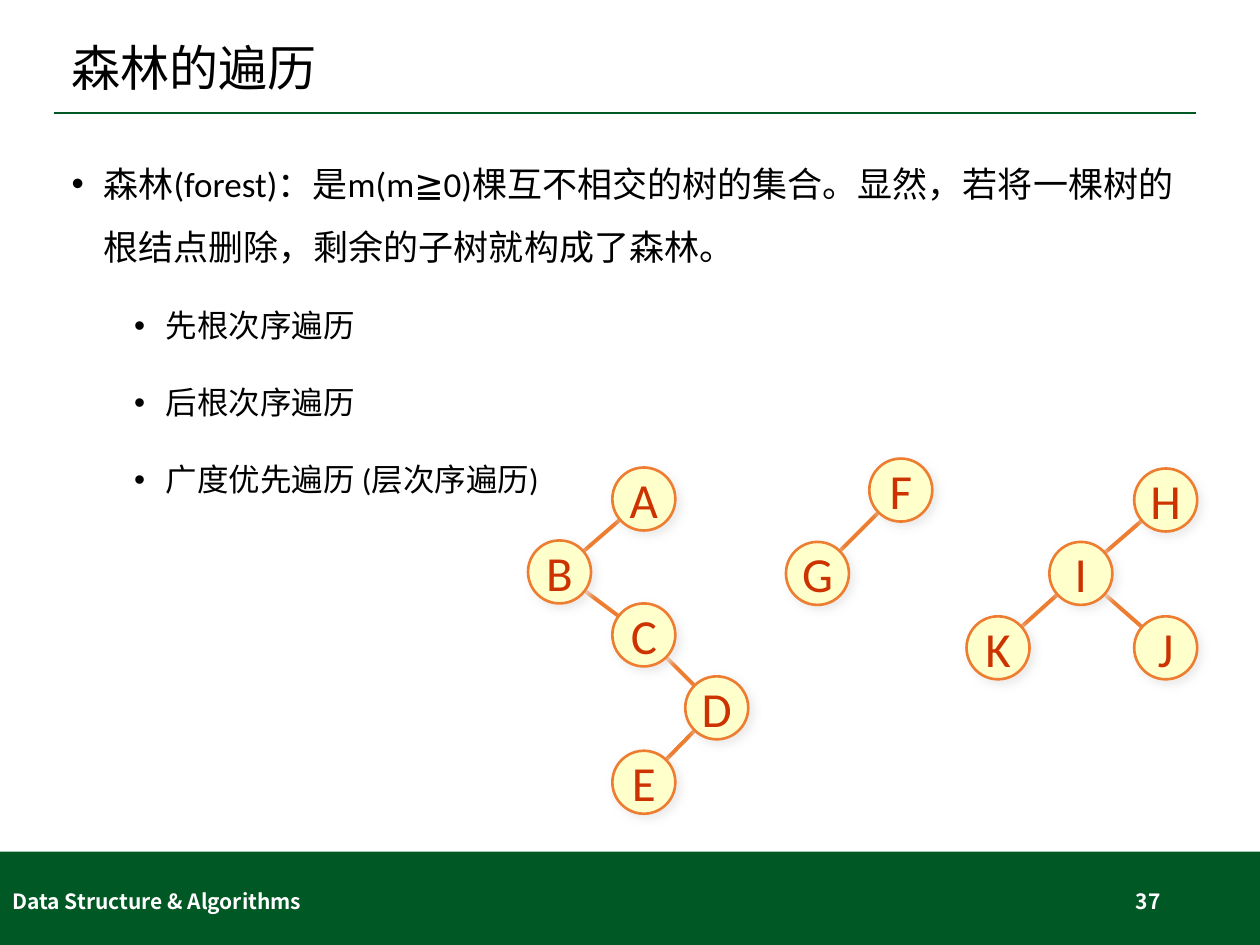
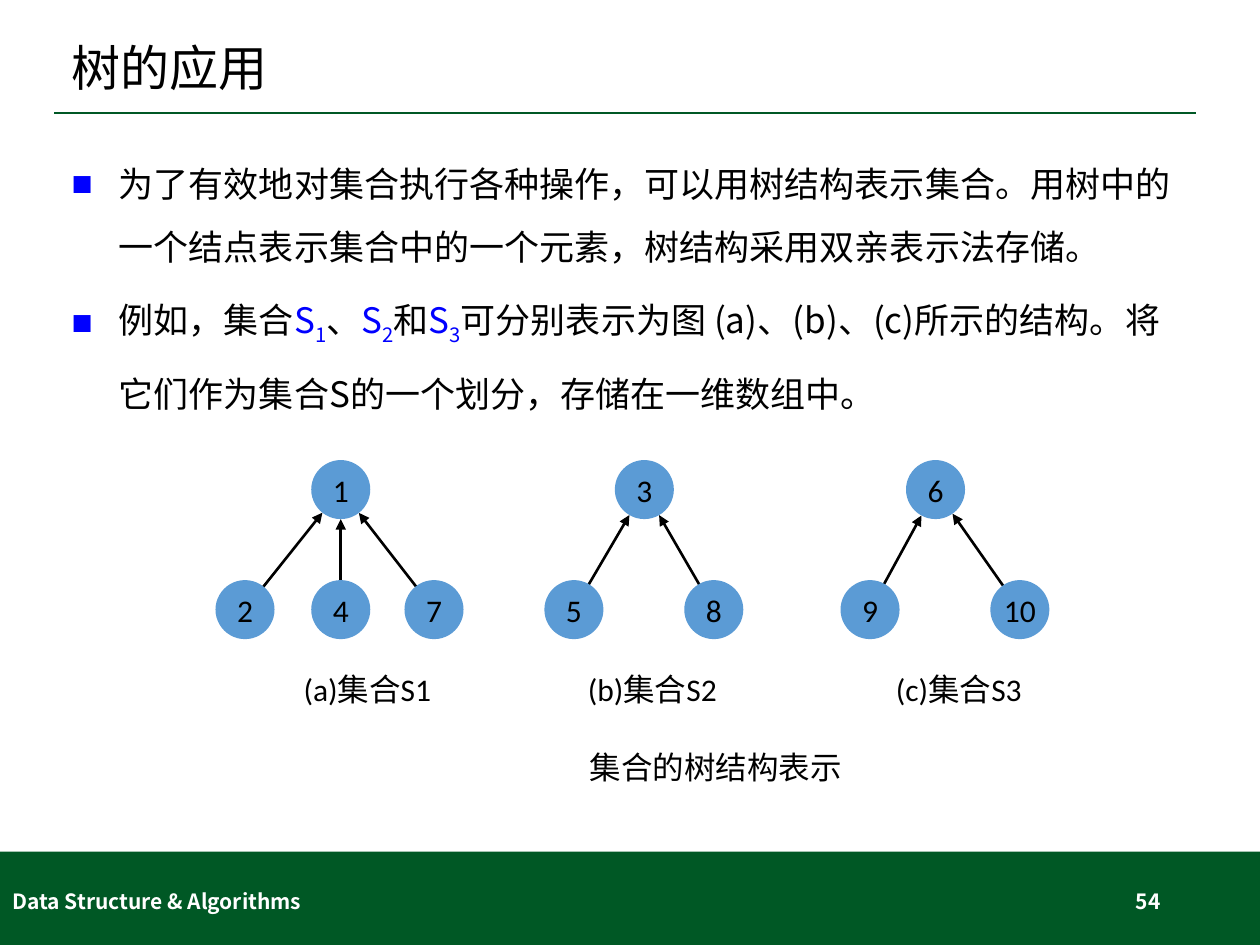
from math import hypot

from lxml.etree import SubElement
from pptx import Presentation
from pptx.dml.color import RGBColor
from pptx.enum.shapes import MSO_CONNECTOR, MSO_SHAPE
from pptx.enum.text import MSO_ANCHOR, MSO_AUTO_SIZE, PP_ALIGN
from pptx.oxml.ns import qn
from pptx.oxml.xmlchemy import OxmlElement
from pptx.util import Cm, Pt

# Shared look
GREEN = RGBColor(0x00, 0x58, 0x25)
WHITE = RGBColor(0xFF, 0xFF, 0xFF)
BLACK = RGBColor(0x00, 0x00, 0x00)
BLUE = RGBColor(0x00, 0x00, 0xFF)
ORANGE = RGBColor(0xED, 0x7D, 0x31)
CREAM = RGBColor(0xFF, 0xFF, 0xCC)
RED = RGBColor(0xCC, 0x33, 0x00)
SKY = RGBColor(0x5B, 0x9B, 0xD5)
SHADOW = RGBColor(0xE7, 0xE6, 0xE6)
LATIN_FONT = "Calibri"
CHINESE_FONT = "Noto Sans CJK SC"
FOOTER = "Data Structure & Algorithms"

# Forest: node centres in cm, and parent-child pairs
FOREST_NODES = {
    "A": (12.98, 10.06), "B": (11.28, 11.53), "C": (12.98, 12.8),
    "D": (14.45, 14.27), "E": (12.98, 15.77),
    "F": (18.16, 9.88), "G": (16.48, 11.56),
    "H": (23.5, 10.08), "I": (21.79, 11.56),
    "J": (23.5, 13.06), "K": (20.12, 13.06),
}
FOREST_EDGES = ["AB", "BC", "CD", "DE", "FG", "HI", "IJ", "IK"]
FOREST_DIAMETER = 1.27

# Sets: (root, x of root, {child: x of child}) in cm
SET_TREES = [
    ("1", 6.87, {"2": 4.94, "4": 6.87, "7": 8.75}),
    ("3", 12.99, {"5": 11.57, "8": 14.39}),
    ("6", 18.86, {"9": 17.54, "10": 20.56}),
]
ROOT_Y, CHILD_Y = 9.87, 12.29
SET_DIAMETER = 1.19


def style_paragraph(paragraph, size, color, name=LATIN_FONT, bold=False,
                    align=PP_ALIGN.LEFT):
    font = paragraph.font
    font.size, font.name, font.bold = Pt(size), name, bold
    font.color.rgb = color
    paragraph.alignment = align
    east_asian = SubElement(font._element, qn("a:ea"))
    east_asian.set("typeface", CHINESE_FONT)


def insert_before_font(paragraph, element):
    paragraph.font._element.addprevious(element)


def add_bullet(paragraph, character, indent, hanging, color=None):
    properties = paragraph._p.get_or_add_pPr()
    properties.set("marL", str(Cm(indent)))
    properties.set("indent", str(-Cm(hanging)))
    if color is not None:
        bullet_color = OxmlElement("a:buClr")
        SubElement(bullet_color, qn("a:srgbClr")).set("val", str(color))
        insert_before_font(paragraph, bullet_color)
    for tag, key, value in (("a:buFont", "typeface", "Arial"),
                            ("a:buChar", "char", character)):
        element = OxmlElement(tag)
        element.set(key, value)
        insert_before_font(paragraph, element)


def add_tab_stops(paragraph, positions):
    tabs = OxmlElement("a:tabLst")
    for position in positions:
        tab = SubElement(tabs, qn("a:tab"))
        tab.set("pos", str(Cm(position)))
        tab.set("algn", "l")
    insert_before_font(paragraph, tabs)


def place(shape, left, top, width, height):
    shape.left, shape.top = Cm(left), Cm(top)
    shape.width, shape.height = Cm(width), Cm(height)


def add_text_box(slide, left, top, width, height, anchor=MSO_ANCHOR.TOP):
    box = slide.shapes.add_textbox(Cm(left), Cm(top), Cm(width), Cm(height))
    box.text_frame.word_wrap = True
    box.text_frame.vertical_anchor = anchor
    return box.text_frame


def add_footer_text(slide, text, left, width, align):
    frame = add_text_box(slide, left, 17.65, width, 1.02, MSO_ANCHOR.MIDDLE)
    frame.text = text
    style_paragraph(frame.paragraphs[0], 12, WHITE, CHINESE_FONT, True, align)


def add_line(slide, start, end, color, width, arrow=False):
    connector = slide.shapes.add_connector(
        MSO_CONNECTOR.STRAIGHT, *(Cm(value) for value in (*start, *end)))
    connector.line.color.rgb = color
    connector.line.width = Pt(width)
    properties = connector._element.spPr
    if arrow:
        SubElement(properties.find(qn("a:ln")), qn("a:tailEnd")).set("type", "triangle")
    SubElement(properties, qn("a:effectLst"))


def add_edge(slide, child, parent, radius, color, width, arrow=False):
    """Line from the child's centre to the rim of the parent."""
    across, down = child[0] - parent[0], child[1] - parent[1]
    share = radius / hypot(across, down)
    rim = (parent[0] + share * across, parent[1] + share * down)
    add_line(slide, child, rim, color, width, arrow)


def add_node(slide, label, center, diameter, fill, size, color):
    node = slide.shapes.add_shape(
        MSO_SHAPE.OVAL, Cm(center[0] - diameter / 2), Cm(center[1] - diameter / 2),
        Cm(diameter), Cm(diameter))
    node.shadow.inherit = False
    node.fill.solid()
    node.fill.fore_color.rgb = fill
    node.line.fill.background()
    frame = node.text_frame
    frame.word_wrap = False
    frame.vertical_anchor = MSO_ANCHOR.MIDDLE
    frame.margin_left = frame.margin_right = frame.margin_top = frame.margin_bottom = 0
    frame.text = label
    style_paragraph(frame.paragraphs[0], size, color, align=PP_ALIGN.CENTER)
    return node


def add_soft_shadow(shape):
    effects = shape._element.spPr.find(qn("a:effectLst"))
    shadow = SubElement(effects, qn("a:outerShdw"))
    shadow.set("blurRad", str(Pt(5)))
    shadow.set("dist", str(Pt(3)))
    shadow.set("dir", str(45 * 60000))
    color = SubElement(shadow, qn("a:srgbClr"))
    color.set("val", str(SHADOW))
    SubElement(color, qn("a:alpha")).set("val", "75000")


def add_content_slide(presentation, title_text, number):
    """Slide with title, rule, footer band and an empty body; returns both."""
    slide = presentation.slides.add_slide(presentation.slide_layouts[1])
    band = slide.shapes.add_shape(
        MSO_SHAPE.RECTANGLE, 0, Cm(17.17), presentation.slide_width, Cm(1.88))
    band.shadow.inherit = False
    band.fill.solid()
    band.fill.fore_color.rgb = GREEN
    band.line.fill.background()
    add_line(slide, (1.09, 2.28), (24.1, 2.28), GREEN, 1)

    title, body = slide.shapes.title, slide.placeholders[1]
    place(title, 1.19, 0.58, 23.01, 1.68)
    place(body, 1.19, 2.72, 23.01, 14.07)
    for shape, anchor in ((title, MSO_ANCHOR.MIDDLE), (body, MSO_ANCHOR.TOP)):
        shape.text_frame.auto_size = MSO_AUTO_SIZE.NONE
        shape.text_frame.vertical_anchor = anchor
    title.text_frame.text = title_text
    heading = title.text_frame.paragraphs[0]
    style_paragraph(heading, 28, BLACK)
    heading.line_spacing = 0.9

    add_footer_text(slide, FOOTER, 0, 8.59, PP_ALIGN.LEFT)
    add_footer_text(slide, str(number), 17.93, 5.72, PP_ALIGN.RIGHT)
    return slide, body.text_frame


def build_forest_slide(presentation):
    slide, body = add_content_slide(presentation, "森林的遍历", 37)

    # Definition and the kinds of traversal
    body.text = ("森林(forest)：是m(m≧0)棵互不相交的树的集合。"
                 "显然，若将一棵树的根结点删除，剩余的子树就构成了森林。")
    definition = body.paragraphs[0]
    style_paragraph(definition, 20, BLACK)
    definition.line_spacing, definition.space_before = Pt(36), Pt(10)
    add_bullet(definition, "•", 0.64, 0.64)
    for text in ("先根次序遍历", "后根次序遍历", "广度优先遍历 (层次序遍历)"):
        item = body.add_paragraph()
        item.text, item.level = text, 1
        style_paragraph(item, 18, BLACK)
        item.line_spacing, item.space_before = Pt(32), Pt(12)
        add_bullet(item, "•", 1.9, 0.64)

    # Three trees
    for parent, child in FOREST_EDGES:
        add_edge(slide, FOREST_NODES[child], FOREST_NODES[parent],
                 FOREST_DIAMETER / 2, ORANGE, 2.25)
    for label, center in FOREST_NODES.items():
        node = add_node(slide, label, center, FOREST_DIAMETER, CREAM, 28, RED)
        node.line.color.rgb = ORANGE
        node.line.width = Pt(1.5)
        add_soft_shadow(node)


def add_set_name(paragraph, index):
    """Blue S with a subscript number."""
    for text, baseline in (("S", None), (index, "-25000")):
        run = paragraph.add_run()
        run.text = text
        run.font.color.rgb = BLUE
        if baseline:
            run.font._element.set("baseline", baseline)


def build_sets_slide(presentation):
    slide, body = add_content_slide(presentation, "树的应用", 54)

    # Explanation
    body.text = ("为了有效地对集合执行各种操作，可以用树结构表示集合。"
                 "用树中的一个结点表示集合中的一个元素，树结构采用双亲表示法存储。")
    example = body.add_paragraph()
    example.add_run().text = "例如，集合"
    for index, following in (
            ("1", "、"), ("2", "和"),
            ("3", "可分别表示为图 (a)、(b)、(c)所示的结构。"
                  "将它们作为集合S的一个划分，存储在一维数组中。")):
        add_set_name(example, index)
        example.add_run().text = following
    for paragraph, line_height in zip(body.paragraphs, (36, 39)):
        style_paragraph(paragraph, 20, BLACK, CHINESE_FONT)
        paragraph.line_spacing, paragraph.space_before = Pt(line_height), Pt(6)
        add_bullet(paragraph, "■", 0.95, 0.95, BLUE)

    # Trees with arrows from child to parent
    for root, root_x, children in SET_TREES:
        root_center = (root_x, ROOT_Y)
        centers = {child: (x, CHILD_Y) for child, x in children.items()}
        for center in centers.values():
            add_edge(slide, center, root_center, SET_DIAMETER / 2, BLACK, 1.5, True)
        for label, center in {root: root_center, **centers}.items():
            add_node(slide, label, center, SET_DIAMETER, SKY, 18, BLACK)

    # Captions
    captions = add_text_box(slide, 5.87, 13.39, 17.12, 2.01)
    captions.text = "(a)集合S1\t(b)集合S2\t(c)集合S3"
    names = captions.paragraphs[0]
    style_paragraph(names, 18, BLACK)
    add_tab_stops(names, (5.73, 11.94))
    summary = captions.add_paragraph()
    summary.text = "集合的树结构表示"
    style_paragraph(summary, 18, BLACK, align=PP_ALIGN.CENTER)
    summary.space_before = Pt(23)


def main():
    presentation = Presentation()
    presentation.slide_width, presentation.slide_height = Cm(25.4), Cm(19.05)
    build_forest_slide(presentation)
    build_sets_slide(presentation)
    presentation.save("out.pptx")


if __name__ == "__main__":
    main()
